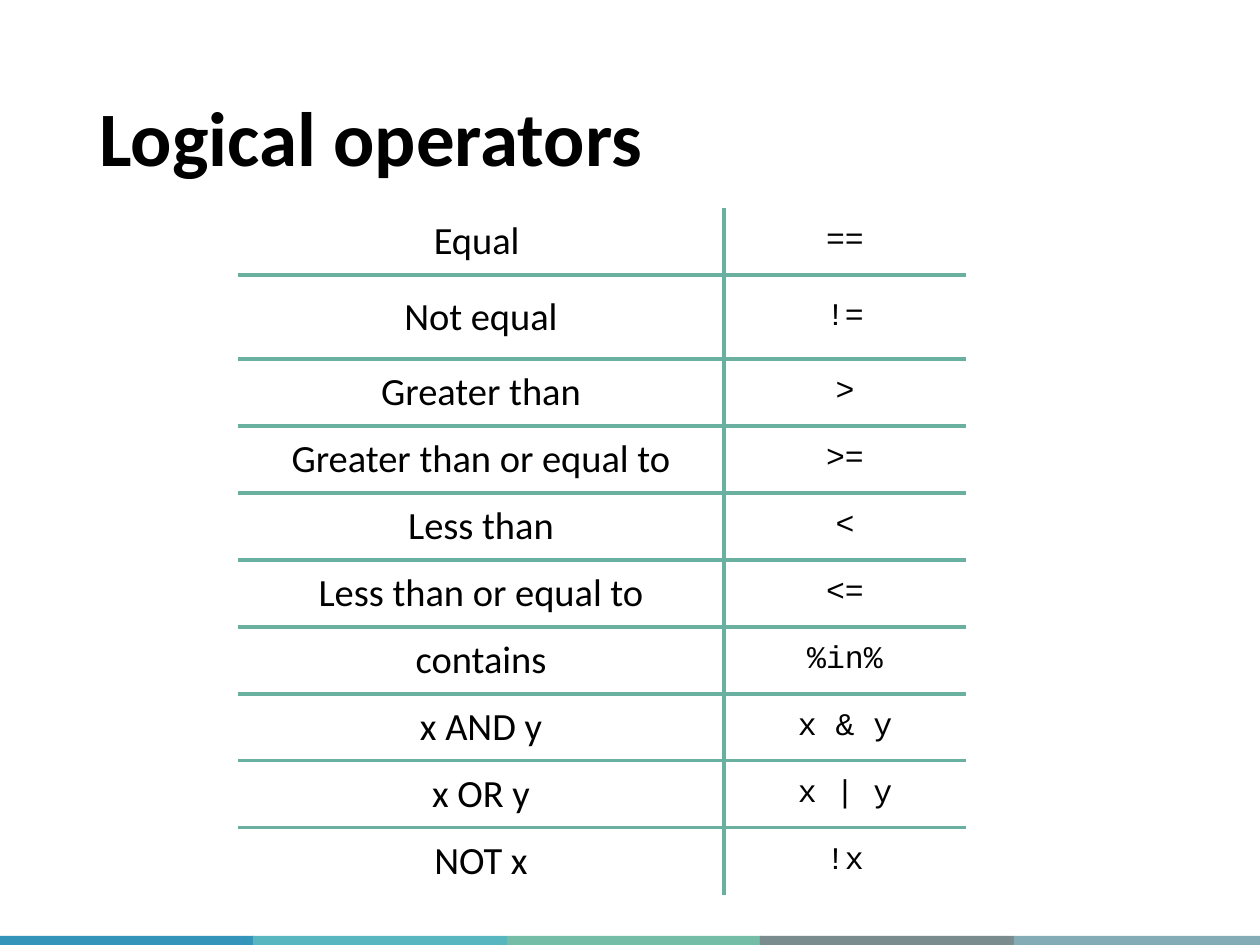
from dataclasses import dataclass

from lxml import etree
from pptx import Presentation
from pptx.dml.color import RGBColor
from pptx.enum.shapes import MSO_SHAPE
from pptx.enum.text import MSO_ANCHOR, PP_ALIGN
from pptx.oxml.ns import qn
from pptx.util import Pt

RECTANGLE = MSO_SHAPE.RECTANGLE
MIDDLE = MSO_ANCHOR.MIDDLE
CENTER = PP_ALIGN.CENTER
EMU_PER_PX = 914400 / 126


@dataclass(frozen=True)
class Theme:
    text: str = "000000"
    paper: str = "FFFFFF"
    rule: str = "69B0A0"
    strips: tuple = ("3494BA", "58B6C0", "75BDA7", "7A8C8E", "84ACB6")
    body_font: str = "Calibri"
    code_font: str = "Courier New"
    title_size: int = 44
    label_size: int = 22
    code_size: int = 18
    rule_width: float = 2.25


THEME = Theme()

OPERATORS = [
    ("Equal ", "=="),
    ("Not equal", "!="),
    ("Greater than", ">"),
    ("Greater than or equal to", ">="),
    ("Less than", "<"),
    ("Less than or equal to", "<="),
    ("contains", "%in%"),
    ("x AND y", "x & y"),
    ("x OR y", "x | y"),
    ("NOT x", "!x"),
]
COLUMN_WIDTHS = (486, 242)
ROW_HEIGHT = 67
TALL_ROW, TALL_ROW_HEIGHT = 1, 84


def px(length):
    return round(length * EMU_PER_PX)


def box(*lengths):
    return [px(length) for length in lengths]


def style_font(paragraph, name, size, bold=False):
    font = paragraph.font
    font.name, font.size, font.bold = name, Pt(size), bold
    font.color.rgb = RGBColor.from_string(THEME.text)


def add_strips(slide):
    for index, color in enumerate(THEME.strips):
        strip = slide.shapes.add_shape(RECTANGLE, *box(index * 507 // 2, 936, 254, 13))
        strip.shadow.inherit = False
        strip.fill.solid()
        strip.fill.fore_color.rgb = RGBColor.from_string(color)
        strip.line.fill.background()


def add_title(slide, text):
    frame = slide.shapes.add_textbox(*box(87, 50, 1086, 183)).text_frame
    frame.word_wrap = True
    frame.vertical_anchor = MIDDLE
    paragraph = frame.paragraphs[0]
    paragraph.text = text
    paragraph.line_spacing = 0.9
    style_font(paragraph, THEME.body_font, THEME.title_size, bold=True)


def set_borders(cell, ruled_sides):
    """Rule the given sides (letters of LRTB) and leave the others open."""
    properties = cell._tc.get_or_add_tcPr()
    for side in "LRTB":
        line = etree.SubElement(properties, qn(f"a:ln{side}"))
        if side in ruled_sides:
            line.set("w", str(Pt(THEME.rule_width)))
            fill = etree.SubElement(line, qn("a:solidFill"))
            etree.SubElement(fill, qn("a:srgbClr"), val=THEME.rule)
        else:
            etree.SubElement(line, qn("a:noFill"))


def fill_cell(cell, text, font_name, size, ruled_sides):
    set_borders(cell, ruled_sides)
    cell.fill.solid()
    cell.fill.fore_color.rgb = RGBColor.from_string(THEME.paper)
    cell.vertical_anchor = MIDDLE
    paragraph = cell.text_frame.paragraphs[0]
    paragraph.text = text
    paragraph.alignment = CENTER
    style_font(paragraph, font_name, size)


def add_operator_table(slide):
    heights = [ROW_HEIGHT] * len(OPERATORS)
    heights[TALL_ROW] = TALL_ROW_HEIGHT
    table = slide.shapes.add_table(
        len(OPERATORS), len(COLUMN_WIDTHS),
        *box(238, 208, sum(COLUMN_WIDTHS), sum(heights)),
    ).table
    table.first_row = table.horz_banding = False
    for column, width in zip(table.columns, COLUMN_WIDTHS):
        column.width = px(width)

    last = len(OPERATORS) - 1
    for index, (label, code) in enumerate(OPERATORS):
        table.rows[index].height = px(heights[index])
        # Only inner edges are ruled
        sides = ("T" if index > 0 else "") + ("B" if index < last else "")
        fill_cell(table.cell(index, 0), label, THEME.body_font, THEME.label_size, sides + "R")
        fill_cell(table.cell(index, 1), code, THEME.code_font, THEME.code_size, sides + "L")


def main():
    presentation = Presentation()
    presentation.slide_width, presentation.slide_height = box(1260, 945)
    slide = presentation.slides.add_slide(presentation.slide_layouts[6])
    # Colour band along the foot
    add_strips(slide)
    # Heading and content
    add_title(slide, "Logical operators")
    add_operator_table(slide)
    presentation.save("out.pptx")


if __name__ == "__main__":
    main()
